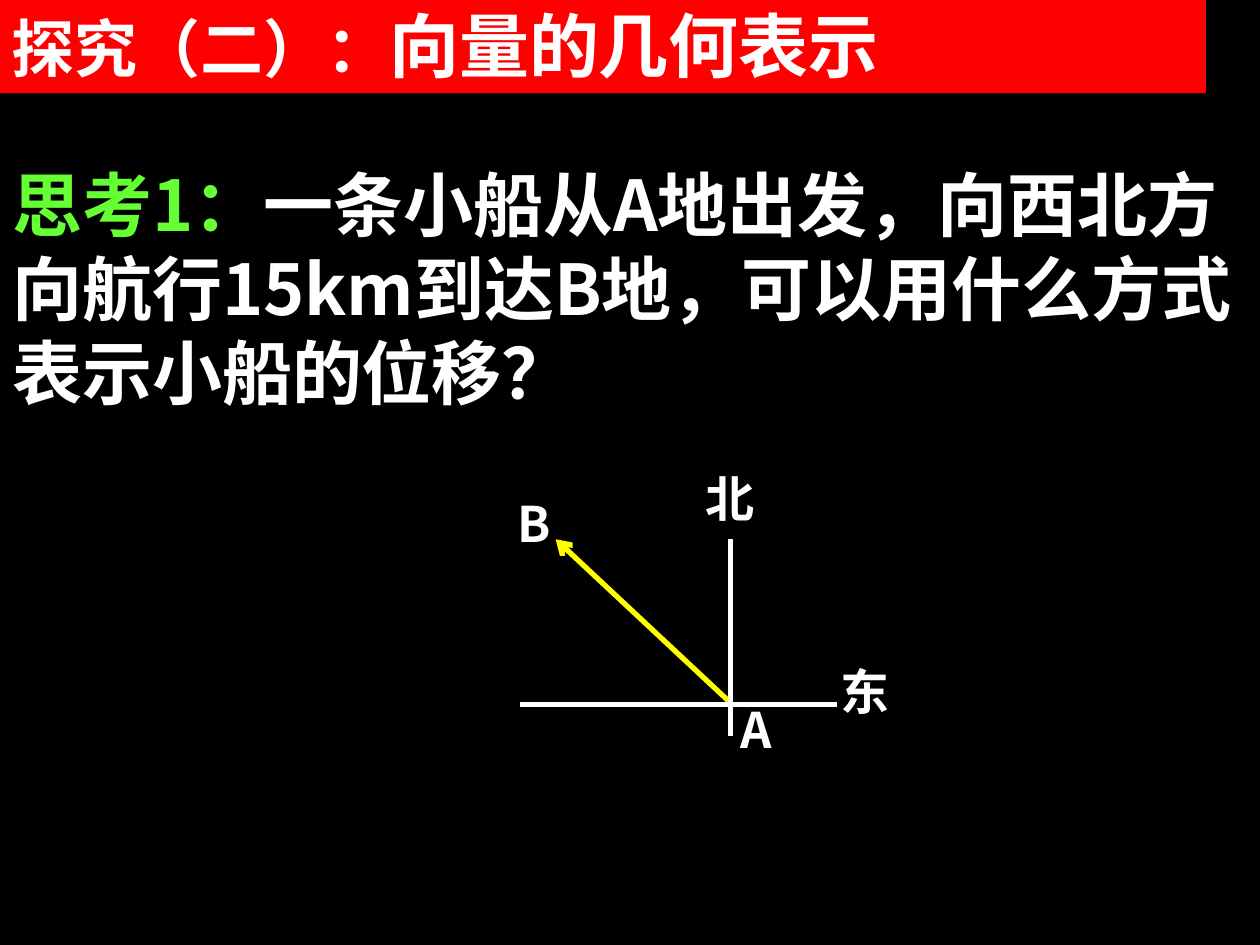
from dataclasses import dataclass
from lxml.etree import SubElement
from pptx import Presentation
from pptx.dml.color import RGBColor
from pptx.enum.shapes import MSO_CONNECTOR, MSO_SHAPE
from pptx.enum.text import MSO_ANCHOR, PP_ALIGN
from pptx.oxml.ns import qn
from pptx.util import Inches, Pt


@dataclass(frozen=True)
class Theme:
    black: str = "000000"
    white: str = "FFFFFF"
    red: str = "FF0000"
    green: str = "66FF33"
    yellow: str = "FFFF00"
    sans: str = "Noto Sans CJK SC"
    title: str = "Arial"
    serif: str = "Times New Roman"
    large: int = 40
    medium: int = 36
    label: int = 28
    stroke: int = 3


theme = Theme()


def add_span(para, text, size=theme.large, font=theme.sans, color=theme.white):
    span = para.add_run()
    span.text = text
    span.font.name = font
    span.font.size = Pt(size)
    span.font.bold = True
    span.font.color.rgb = RGBColor.from_string(color)


presentation = Presentation()
presentation.slide_width = Inches(10)
presentation.slide_height = Inches(7.5)
page = presentation.slides.add_slide(presentation.slide_layouts[6])
page.background.fill.solid()
page.background.fill.fore_color.rgb = RGBColor.from_string(theme.black)

banner = page.shapes.add_shape(MSO_SHAPE.RECTANGLE, Inches(-0.01), Inches(-0.03), Inches(9.58), Inches(0.77))
banner.shadow.inherit = False
banner.fill.solid()
banner.fill.fore_color.rgb = RGBColor.from_string(theme.red)
banner.line.fill.background()
banner.text_frame.word_wrap = True
banner.text_frame.vertical_anchor = MSO_ANCHOR.TOP
para = banner.text_frame.paragraphs[0]
para.alignment = PP_ALIGN.LEFT
add_span(para, "探究（二）：", size=theme.medium, font=theme.title)
add_span(para, "向量的几何表示", font=theme.title)

question = page.shapes.add_textbox(0, Inches(1.23), Inches(10), Inches(2.1))
question.text_frame.word_wrap = True
para = question.text_frame.paragraphs[0]
add_span(para, "思考1：", color=theme.green)
add_span(para, "一条小船从A地出发，向西北方向航行15km到达B地，可以用什么方式表示小船的位移？")

lines = [
    (5.8, 5.58, 4.41, 4.28, theme.yellow, True),
    (4.13, 5.59, 6.64, 5.59, theme.white, False),
    (5.8, 4.28, 5.8, 5.84, theme.white, False),
]
for start_x, start_y, end_x, end_y, color, has_arrow in lines:
    line = page.shapes.add_connector(
        MSO_CONNECTOR.STRAIGHT, Inches(start_x), Inches(start_y), Inches(end_x), Inches(end_y)
    )
    line.line.color.rgb = RGBColor.from_string(color)
    line.line.width = Pt(theme.stroke)
    properties = line.element.spPr
    if has_arrow:
        SubElement(properties.find(qn("a:ln")), qn("a:tailEnd"), type="arrow")
    SubElement(properties, qn("a:effectLst"))

labels = [
    ("B", 4.01, 3.87, 0.83, 0.78, theme.sans),
    ("A", 5.78, 5.5, 0.74, 0.62, theme.sans),
    ("东", 6.57, 5.2, 0.83, 0.78, theme.serif),
    ("北", 5.5, 3.67, 0.79, 0.63, theme.serif),
]
for text, left, top, width, height, font in labels:
    box = page.shapes.add_textbox(Inches(left), Inches(top), Inches(width), Inches(height))
    box.text_frame.word_wrap = True
    para = box.text_frame.paragraphs[0]
    para.alignment = PP_ALIGN.JUSTIFY
    add_span(para, text, size=theme.label, font=font)

presentation.save("out.pptx")
